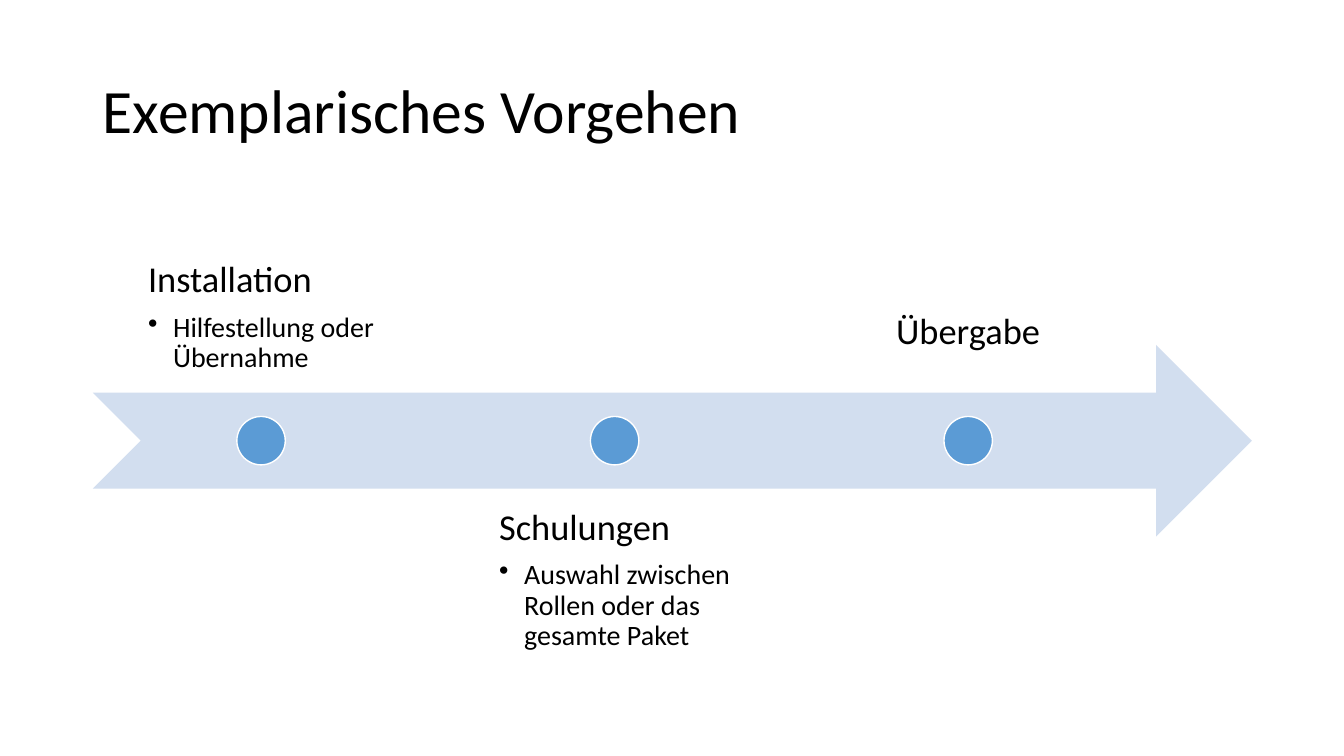
"""Builds a slide with a three-step timeline on a notched arrow."""
from lxml.etree import SubElement
from pptx import Presentation
from pptx.dml.color import RGBColor
from pptx.enum.shapes import MSO_SHAPE
from pptx.enum.text import MSO_ANCHOR, MSO_AUTO_SIZE, PP_ALIGN
from pptx.oxml.ns import qn
from pptx.util import Cm, Pt

COLOURS = {"text": "000000", "arrow": "D2DEEF", "dot": "5B9BD5", "outline": "FFFFFF"}
FONT = "Calibri"
LEFT, ARROW_TOP, ARROW_WIDTH, BAND = 2.34, 8.69, 29.21, 4.83
UPPER_TOP, LOWER_TOP = 5.08, 12.32
STEP_WIDTH, STEP_PITCH, DOT = 8.48, 8.91, 1.22
INSET, RAISED_INSET, BULLET_INDENT = 0.5, 1.59, 0.63

STEPS = [
    ("Installation", "Hilfestellung oder Übernahme"),
    ("Schulungen", "Auswahl zwischen Rollen oder das gesamte Paket"),
    ("Übergabe", None),
]


def write(paragraph, text, size, space_after=0, bullet=False):
    """Fill a paragraph with formatted text."""
    paragraph.alignment = PP_ALIGN.LEFT
    paragraph.line_spacing = 0.9
    paragraph.space_before = Pt(0)
    paragraph.space_after = Pt(space_after)
    run = paragraph.add_run()
    run.text = text
    run.font.name = FONT
    run.font.size = Pt(size)
    run.font.color.rgb = RGBColor.from_string(COLOURS["text"])
    if bullet:
        paragraph.level = 1
        properties = paragraph._p.get_or_add_pPr()
        properties.set("marL", str(Cm(BULLET_INDENT)))
        properties.set("indent", str(-Cm(BULLET_INDENT)))
        SubElement(properties, qn("a:buChar")).set("char", "•")


def add_title(slide, text):
    """Place and fill the title placeholder."""
    title = slide.shapes.title
    title.left, title.top, title.width, title.height = Cm(LEFT), Cm(1.01), Cm(ARROW_WIDTH), Cm(3.68)
    frame = title.text_frame
    frame.auto_size = MSO_AUTO_SIZE.NONE
    frame.vertical_anchor = MSO_ANCHOR.MIDDLE
    write(frame.paragraphs[0], text, size=44)


def add_figure(slide, kind, left, top, width, height, fill, outline=None):
    """Add a filled preset shape with an optional outline."""
    figure = slide.shapes.add_shape(kind, Cm(left), Cm(top), Cm(width), Cm(height))
    figure.shadow.inherit = False
    figure.fill.solid()
    figure.fill.fore_color.rgb = RGBColor.from_string(COLOURS[fill])
    if outline:
        figure.line.color.rgb = RGBColor.from_string(COLOURS[outline])
        figure.line.width = Pt(1)
    else:
        figure.line.fill.background()


def add_step_text(slide, left, above, heading, detail):
    """Add a step's heading and bullet, centred as a block in its column."""
    top = UPPER_TOP if above else LOWER_TOP
    label = slide.shapes.add_textbox(Cm(left), Cm(top), Cm(STEP_WIDTH), Cm(BAND))
    frame = label.text_frame
    frame.word_wrap = True
    frame.vertical_anchor = MSO_ANCHOR.BOTTOM if above else MSO_ANCHOR.TOP
    frame.margin_left = frame.margin_right = frame.margin_top = Cm(INSET)
    frame.margin_bottom = Cm(INSET if detail else RAISED_INSET)
    frame._txBody.bodyPr.set("anchorCtr", "1")
    write(frame.paragraphs[0], heading, size=26, space_after=9 if detail else 0)
    if detail:
        write(frame.add_paragraph(), detail, size=20, bullet=True)


def main():
    """Build and save the slide."""
    presentation = Presentation()
    presentation.slide_width, presentation.slide_height = Cm(33.87), Cm(19.05)
    slide = presentation.slides.add_slide(presentation.slide_layouts[5])
    add_title(slide, "Exemplarisches Vorgehen")
    add_figure(slide, MSO_SHAPE.NOTCHED_RIGHT_ARROW, LEFT, ARROW_TOP, ARROW_WIDTH, BAND, "arrow")
    dot_top = ARROW_TOP + (BAND - DOT) / 2
    for index, (heading, detail) in enumerate(STEPS):
        left = LEFT + index * STEP_PITCH
        dot_left = left + (STEP_WIDTH - DOT) / 2
        add_step_text(slide, left, index % 2 == 0, heading, detail)
        add_figure(slide, MSO_SHAPE.OVAL, dot_left, dot_top, DOT, DOT, "dot", outline="outline")
    presentation.save("out.pptx")


if __name__ == "__main__":
    main()
